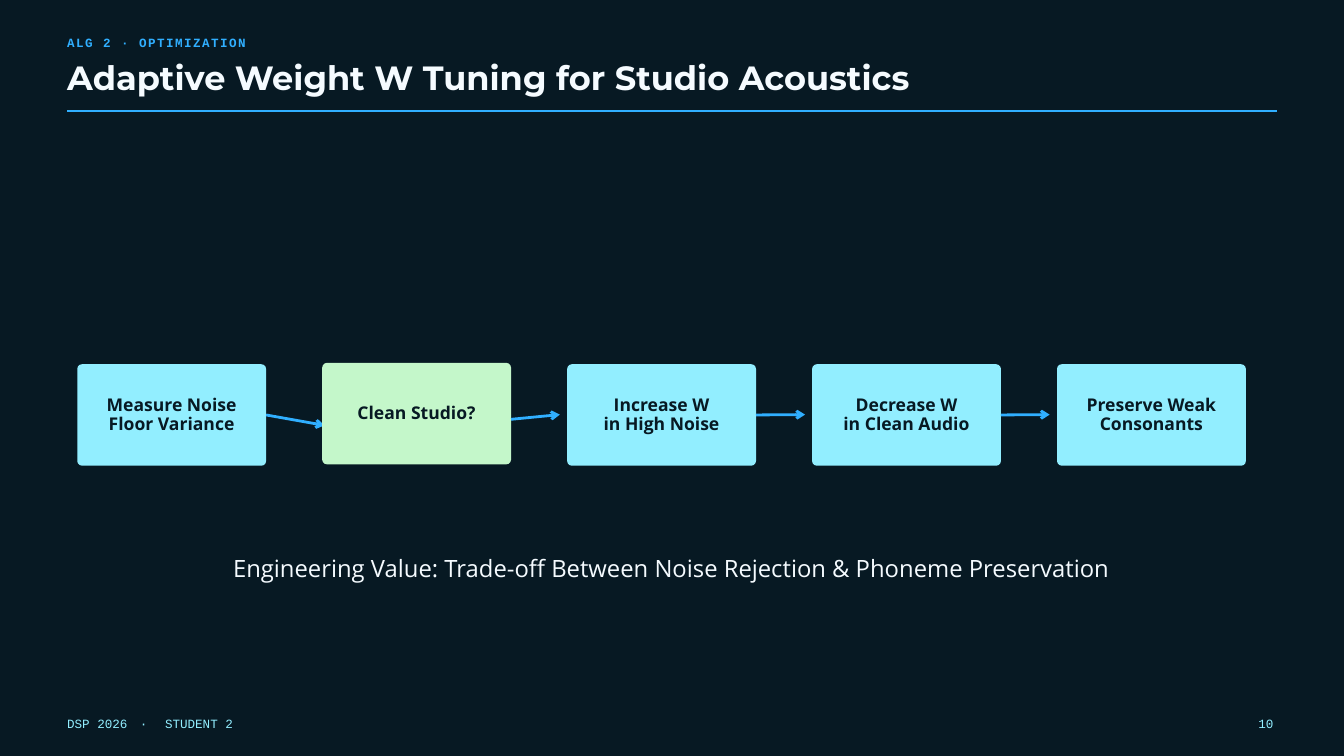
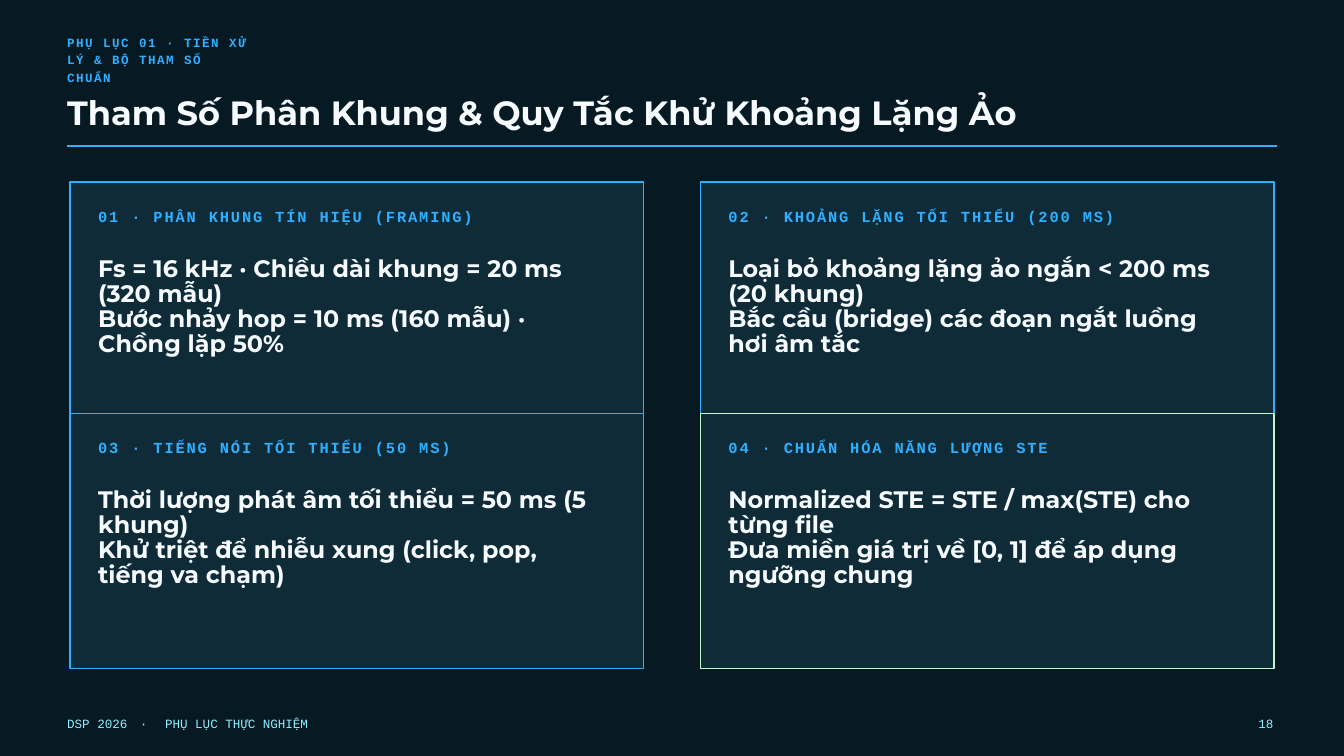
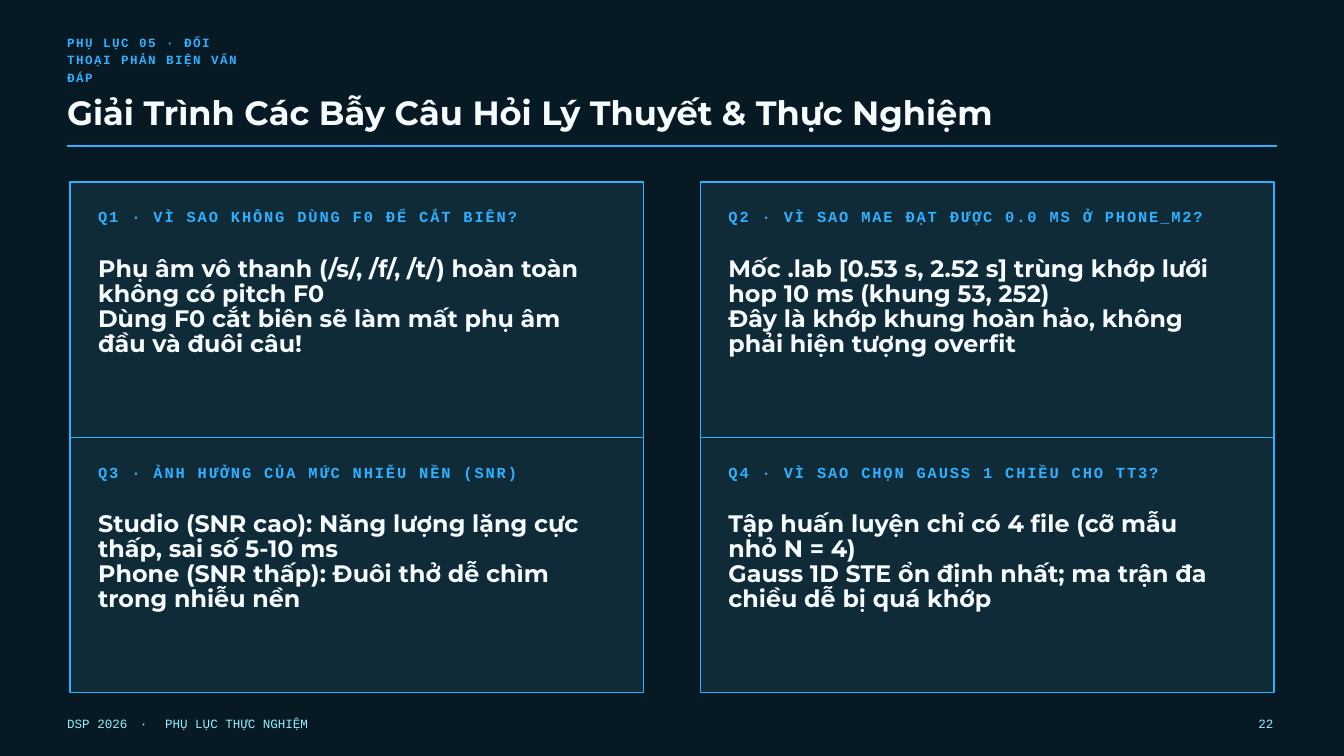
from lxml.etree import SubElement
from pptx import Presentation
from pptx.dml.color import RGBColor
from pptx.enum.shapes import MSO_CONNECTOR, MSO_SHAPE
from pptx.enum.text import MSO_ANCHOR, MSO_AUTO_SIZE, PP_ALIGN
from pptx.oxml.ns import qn
from pptx.util import Inches, Pt

NIGHT = RGBColor(0x07, 0x19, 0x23)
PANEL = RGBColor(0x10, 0x2B, 0x38)
BLUE = RGBColor(0x30, 0xAF, 0xFF)
CYAN = RGBColor(0x92, 0xEE, 0xFF)
MINT = RGBColor(0xC4, 0xF7, 0xCA)
WHITE = RGBColor(0xF5, 0xFB, 0xFF)

HEADING_FONT = "Montserrat"
BODY_FONT = "Open Sans"
CODE_FONT = "Courier New"

MARGIN = 1
RULE_END = 19
STEP_LEFT, STEP_TOP, STEP_WIDTH, STEP_HEIGHT = 1.15, 5.42, 2.81, 1.51
STEP_PITCH = (15.73 - STEP_LEFT) / 4
CARD_LEFT, CARD_TOP, CARD_WIDTH, CARD_HEIGHT = 1.04, 2.71, 8.54, 3.8
CARD_PITCH = 9.38

APPENDIX = "PHỤ LỤC THỰC NGHIỆM"

STEPS = [
    (["Measure Noise", "Floor Variance"], CYAN, STEP_TOP),
    (["Clean Studio?"], MINT, 5.4),
    (["Increase W", "in High Noise"], CYAN, STEP_TOP),
    (["Decrease W", "in Clean Audio"], CYAN, STEP_TOP),
    (["Preserve Weak", "Consonants"], CYAN, STEP_TOP),
]
# Start height (None joins the middle of the box side), end x, end y
ARROWS = [(None, 4.83, 6.33), (6.24, 8.33, 6.17), (None, 11.98, 6.17), (None, 15.62, 6.17)]

PARAMETER_CARDS = [
    ("01 · PHÂN KHUNG TÍN HIỆU (FRAMING)",
     ["Fs = 16 kHz · Chiều dài khung = 20 ms (320 mẫu)",
      "Bước nhảy hop = 10 ms (160 mẫu) · Chồng lặp 50%"], BLUE),
    ("02 · KHOẢNG LẶNG TỐI THIỂU (200 MS)",
     ["Loại bỏ khoảng lặng ảo ngắn < 200 ms (20 khung)",
      "Bắc cầu (bridge) các đoạn ngắt luồng hơi âm tắc"], BLUE),
    ("03 · TIẾNG NÓI TỐI THIỂU (50 MS)",
     ["Thời lượng phát âm tối thiểu = 50 ms (5 khung)",
      "Khử triệt để nhiễu xung (click, pop, tiếng va chạm)"], BLUE),
    ("04 · CHUẨN HÓA NĂNG LƯỢNG STE",
     ["Normalized STE = STE / max(STE) cho từng file",
      "Đưa miền giá trị về [0, 1] để áp dụng ngưỡng chung"], MINT),
]
QUESTION_CARDS = [
    ("Q1 · VÌ SAO KHÔNG DÙNG F0 ĐỂ CẮT BIÊN?",
     ["Phụ âm vô thanh (/s/, /f/, /t/) hoàn toàn không có pitch F0",
      "Dùng F0 cắt biên sẽ làm mất phụ âm đầu và đuôi câu!"], BLUE),
    ("Q2 · VÌ SAO MAE ĐẠT ĐƯỢC 0.0 MS Ở PHONE_M2?",
     ["Mốc .lab [0.53 s, 2.52 s] trùng khớp lưới hop 10 ms (khung 53, 252)",
      "Đây là khớp khung hoàn hảo, không phải hiện tượng overfit"], BLUE),
    ("Q3 · ẢNH HƯỞNG CỦA MỨC NHIỄU NỀN (SNR)",
     ["Studio (SNR cao): Năng lượng lặng cực thấp, sai số 5-10 ms",
      "Phone (SNR thấp): Đuôi thở dễ chìm trong nhiễu nền"], BLUE),
    ("Q4 · VÌ SAO CHỌN GAUSS 1 CHIỀU CHO TT3?",
     ["Tập huấn luyện chỉ có 4 file (cỡ mẫu nhỏ N = 4)",
      "Gauss 1D STE ổn định nhất; ma trận đa chiều dễ bị quá khớp"], BLUE),
]


def add_span(para, text, font, size, color, bold=False, spacing=0):
    span = para.add_run()
    span.text = text
    span.font.name = font
    span.font.size = Pt(size)
    span.font.bold = bold
    span.font.color.rgb = color
    if spacing:
        span.font._element.set("spc", str(round(spacing * 100)))


def write(frame, lines, *, leading, align=PP_ALIGN.LEFT, inset=0, anchor=MSO_ANCHOR.TOP, **style):
    """Fill a text frame with one paragraph per line."""
    frame.word_wrap = True
    frame.vertical_anchor = anchor
    frame.margin_left = frame.margin_right = Inches(inset)
    frame.margin_top = frame.margin_bottom = Inches(inset)
    for index, line in enumerate(lines):
        para = frame.add_paragraph() if index else frame.paragraphs[0]
        para.alignment = align
        para.line_spacing = Pt(leading)
        add_span(para, line, **style)


def add_text(slide, lines, left, top, width, height, **style):
    box = slide.shapes.add_textbox(Inches(left), Inches(top), Inches(width), Inches(height))
    write(box.text_frame, lines, **style)
    box.text_frame.auto_size = MSO_AUTO_SIZE.SHAPE_TO_FIT_TEXT
    return box


def add_panel(slide, kind, left, top, width, height, fill, outline=None):
    panel = slide.shapes.add_shape(kind, Inches(left), Inches(top), Inches(width), Inches(height))
    panel.shadow.inherit = False
    panel.fill.solid()
    panel.fill.fore_color.rgb = fill
    if outline is None:
        panel.line.fill.background()
    else:
        panel.line.color.rgb = outline
        panel.line.width = Pt(1.5)
    return panel


def add_line(slide, start, end, weight, arrow=False):
    line = slide.shapes.add_connector(MSO_CONNECTOR.STRAIGHT, *map(Inches, start + end))
    line.line.color.rgb = BLUE
    line.line.width = Pt(weight)
    properties = line.element.spPr
    SubElement(properties, qn("a:effectLst"))
    if arrow:
        SubElement(properties.find(qn("a:ln")), qn("a:tailEnd"), type="arrow")
    return line


def add_page(deck, kicker, title, section, number, kicker_height):
    """Add a slide with its heading, rule and footer."""
    page = deck.slides.add_slide(deck.slide_layouts[6])
    page.background.fill.solid()
    page.background.fill.fore_color.rgb = NIGHT

    add_text(page, [kicker], MARGIN, 0.48, 2.71, kicker_height, leading=18.9,
             font=CODE_FONT, size=13.5, color=BLUE, bold=True, spacing=1.6)
    add_text(page, [title], MARGIN, 0.67 + kicker_height, 15.62, 0.55, leading=37.8,
             font=HEADING_FONT, size=36, color=WHITE, bold=True)
    rule_top = 1.4 + kicker_height
    add_line(page, (MARGIN, rule_top), (RULE_END, rule_top), 2)

    footer = dict(font=CODE_FONT, size=13.5, color=CYAN)
    box = add_text(page, ["DSP 2026"], MARGIN, 10.64, 9.38, 0.23, leading=16.9, **footer)
    para = box.text_frame.paragraphs[0]
    add_span(para, " · ", spacing=5.4, **footer)
    add_span(para, section, **footer)
    add_text(page, [number], 18.12, 10.64, 0.83, 0.23, leading=16.9,
             align=PP_ALIGN.RIGHT, **footer)
    return page


def add_step(page, lines, left, top, fill):
    step = add_panel(page, MSO_SHAPE.ROUNDED_RECTANGLE, left, top, STEP_WIDTH, STEP_HEIGHT, fill)
    step.adjustments[0] = 0.07 / STEP_HEIGHT
    write(step.text_frame, lines, leading=20.6, align=PP_ALIGN.CENTER, inset=0.06,
          anchor=MSO_ANCHOR.MIDDLE, font=BODY_FONT, size=18.8, color=NIGHT, bold=True)
    return step


def add_flow(page):
    for index, (lines, fill, top) in enumerate(STEPS):
        left = STEP_LEFT + index * STEP_PITCH
        step = add_step(page, lines, left, top, fill)
        if index < len(ARROWS):
            start_y, end_x, end_y = ARROWS[index]
            start = (left + STEP_WIDTH, start_y or top + STEP_HEIGHT / 2)
            arrow = add_line(page, start, (end_x, end_y), 3, arrow=True)
            if start_y is None:
                arrow.begin_connect(step, 3)


def add_cards(page, cards, row_pitch):
    """Lay the cards out in two columns."""
    for index, (label, lines, outline) in enumerate(cards):
        row, column = divmod(index, 2)
        left = CARD_LEFT + column * CARD_PITCH
        top = CARD_TOP + row * row_pitch
        add_panel(page, MSO_SHAPE.RECTANGLE, left, top, CARD_WIDTH, CARD_HEIGHT, PANEL, outline)
        add_text(page, [label], left + 0.42, top + 0.33, 7.29, 0.3, leading=23.1,
                 font=CODE_FONT, size=16.5, color=BLUE, bold=True, spacing=2)
        add_text(page, lines, left + 0.42, top + 1.12, 7.5, 1.48, leading=26.8,
                 font=HEADING_FONT, size=25.5, color=WHITE, bold=True)


def main():
    deck = Presentation()
    deck.slide_width = Inches(20)
    deck.slide_height = Inches(11.25)

    page = add_page(deck, "ALG 2 · OPTIMIZATION",
                    "Adaptive Weight W Tuning for Studio Acoustics", "STUDENT 2", "10", 0.25)
    add_flow(page)
    add_text(page, ["Engineering Value: Trade-off Between Noise Rejection & Phoneme Preservation"],
             3.12, 8.2, 13.75, 0.45, leading=33.1, align=PP_ALIGN.CENTER,
             font=BODY_FONT, size=25.5, color=WHITE)

    page = add_page(deck, "PHỤ LỤC 01 · TIỀN XỬ LÝ & BỘ THAM SỐ CHUẨN",
                    "Tham Số Phân Khung & Quy Tắc Khử Khoảng Lặng Ảo", APPENDIX, "18", 0.77)
    add_cards(page, PARAMETER_CARDS, 3.44)

    page = add_page(deck, "PHỤ LỤC 05 · ĐỐI THOẠI PHẢN BIỆN VẤN ĐÁP",
                    "Giải Trình Các Bẫy Câu Hỏi Lý Thuyết & Thực Nghiệm", APPENDIX, "22", 0.77)
    add_cards(page, QUESTION_CARDS, CARD_HEIGHT)

    deck.save("out.pptx")


if __name__ == "__main__":
    main()
